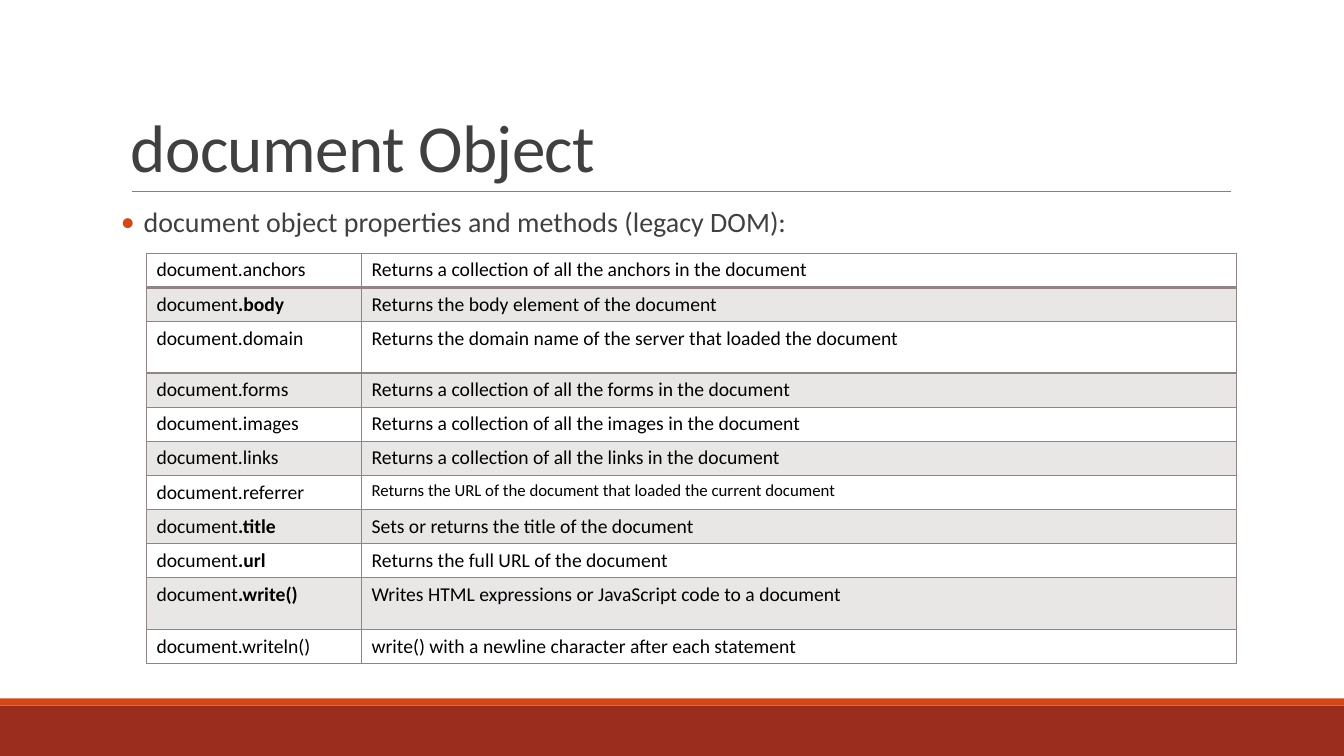
from dataclasses import dataclass

from lxml.etree import SubElement as Sub
from pptx import Presentation
from pptx.dml.color import RGBColor as Rgb
from pptx.enum.shapes import MSO_CONNECTOR as Link, MSO_SHAPE as Shape
from pptx.enum.text import MSO_ANCHOR as Anchor
from pptx.oxml.ns import qn
from pptx.util import Cm, Pt


@dataclass(frozen=True)
class Theme:
    font: str = "Calibri"
    ink: str = "404040"
    black: str = "000000"
    rust: str = "9B2D1F"
    orange: str = "D34817"
    rule: str = "808080"
    grid: str = "918485"
    title: int = 48
    body: int = 20
    cell: int = 14
    small: int = 12


class Deck:
    def __init__(self, theme):
        self.theme = theme
        self.prs = Presentation()
        self.prs.slide_width, self.prs.slide_height = Cm(33.87), Cm(19.05)
        self.slide = self.prs.slides.add_slide(self.prs.slide_layouts[6])
        self.shapes = self.slide.shapes

    def style(self, para, size, color):
        font = para.font
        font.name, font.size = self.theme.font, Pt(size)
        font.color.rgb = Rgb.from_string(color)

    def band(self, top, height, color):
        bar = self.shapes.add_shape(
            Shape.RECTANGLE, 0, Cm(top), self.prs.slide_width, Cm(height))
        bar.shadow.inherit = False
        bar.fill.solid()
        bar.fill.fore_color.rgb = Rgb.from_string(color)
        bar.line.fill.background()

    def rule(self, left, right, y):
        line = self.shapes.add_connector(
            Link.STRAIGHT, Cm(left), Cm(y), Cm(right), Cm(y))
        line.line.color.rgb = Rgb.from_string(self.theme.rule)
        line.line.width = Pt(0.5)
        Sub(line._element.spPr, qn("a:effectLst"))

    def text(self, box, words, size, lead, anchor=Anchor.TOP):
        frame = self.shapes.add_textbox(*map(Cm, box)).text_frame
        frame.word_wrap = True
        frame.vertical_anchor = anchor
        para = frame.paragraphs[0]
        para.add_run().text = words
        para.line_spacing = lead
        self.style(para, size, self.theme.ink)
        return frame

    def title(self, box, words):
        frame = self.text(box, words, self.theme.title, 0.85, Anchor.BOTTOM)
        run = frame.paragraphs[0].runs[0]
        run._r.get_or_add_rPr().set("spc", "-50")

    def bullet(self, box, words):
        frame = self.text(box, words, self.theme.body, 0.9)
        frame.margin_left = frame.margin_right = 0
        para = frame.paragraphs[0]
        para.space_before, para.space_after = Pt(12), Pt(2)
        props = para._p.get_or_add_pPr()
        props.set("marL", str(Cm(0.57)))
        props.set("indent", str(-Cm(0.57)))
        tint = Sub(props, qn("a:buClr"))
        Sub(tint, qn("a:srgbClr"), val=self.theme.orange)
        Sub(props, qn("a:buFont"), typeface=self.theme.font)
        Sub(props, qn("a:buChar"), char="•")

    def paint(self, cell, first, shade):
        props = cell._tc.get_or_add_tcPr()
        for side in "LRTB":
            wide = Pt(2 if first and side == "B" else 1)
            edge = Sub(props, qn(f"a:ln{side}"), w=str(wide))
            fill = Sub(edge, qn("a:solidFill"))
            Sub(fill, qn("a:srgbClr"), val=self.theme.grid)
        if shade:
            fill = Sub(props, qn("a:solidFill"))
            tint = Sub(fill, qn("a:srgbClr"), val=self.theme.grid)
            Sub(tint, qn("a:alpha"), val="20000")
        else:
            cell.fill.background()

    def table(self, left, top, wide, rows):
        highs = [1.3 if row.tall else 0.86 for row in rows]
        grid = self.shapes.add_table(
            len(rows), len(wide), Cm(left), Cm(top),
            Cm(sum(wide)), Cm(sum(highs))).table
        grid.first_row = grid.horz_banding = False
        for col, width in zip(grid.columns, wide):
            col.width = Cm(width)
        for i, (row, high) in enumerate(zip(rows, highs)):
            grid.rows[i].height = Cm(high)
            stem = "document" if row.bold else f"document.{row.name}"
            name, note = grid.cell(i, 0), grid.cell(i, 1)
            name.text, note.text = stem, row.note
            if row.bold:
                run = name.text_frame.paragraphs[0].add_run()
                run.text = f".{row.name}"
                run.font.bold = True
            sizes = self.theme.cell, row.size or self.theme.cell
            for cell, size in zip((name, note), sizes):
                para = cell.text_frame.paragraphs[0]
                self.style(para, size, self.theme.black)
                self.paint(cell, i == 0, i % 2 == 1)


@dataclass
class Row:
    name: str
    note: str
    bold: bool = False
    tall: bool = False
    size: int = 0


def main():
    theme = Theme()
    rows = [
        Row("anchors", "Returns a collection of all the anchors in the document"),
        Row("body", "Returns the body element of the document", bold=True),
        Row("domain", "Returns the domain name of the server that loaded the document",
            tall=True),
        Row("forms", "Returns a collection of all the forms in the document"),
        Row("images", "Returns a collection of all the images in the document"),
        Row("links", "Returns a collection of all the links in the document"),
        Row("referrer", "Returns the URL of the document that loaded the current document",
            size=theme.small),
        Row("title", "Sets or returns the title of the document", bold=True),
        Row("url", "Returns the full URL of the document", bold=True),
        Row("write()", "Writes HTML expressions or JavaScript code to a document",
            bold=True, tall=True),
        Row("writeln()", "write() with a newline character after each statement"),
    ]
    deck = Deck(theme)
    deck.band(17.78, 1.27, theme.rust)
    deck.band(17.6, 0.18, theme.orange)
    deck.rule(3.32, 31.01, 4.82)
    deck.title((3.05, 0.79, 27.94, 4.03), "document Object")
    deck.bullet((3.05, 5.13, 27.94, 11.18),
                "document object properties and methods (legacy DOM):")
    deck.table(3.69, 6.38, (5.42, 22.06), rows)
    deck.prs.save("out.pptx")


if __name__ == "__main__":
    main()
